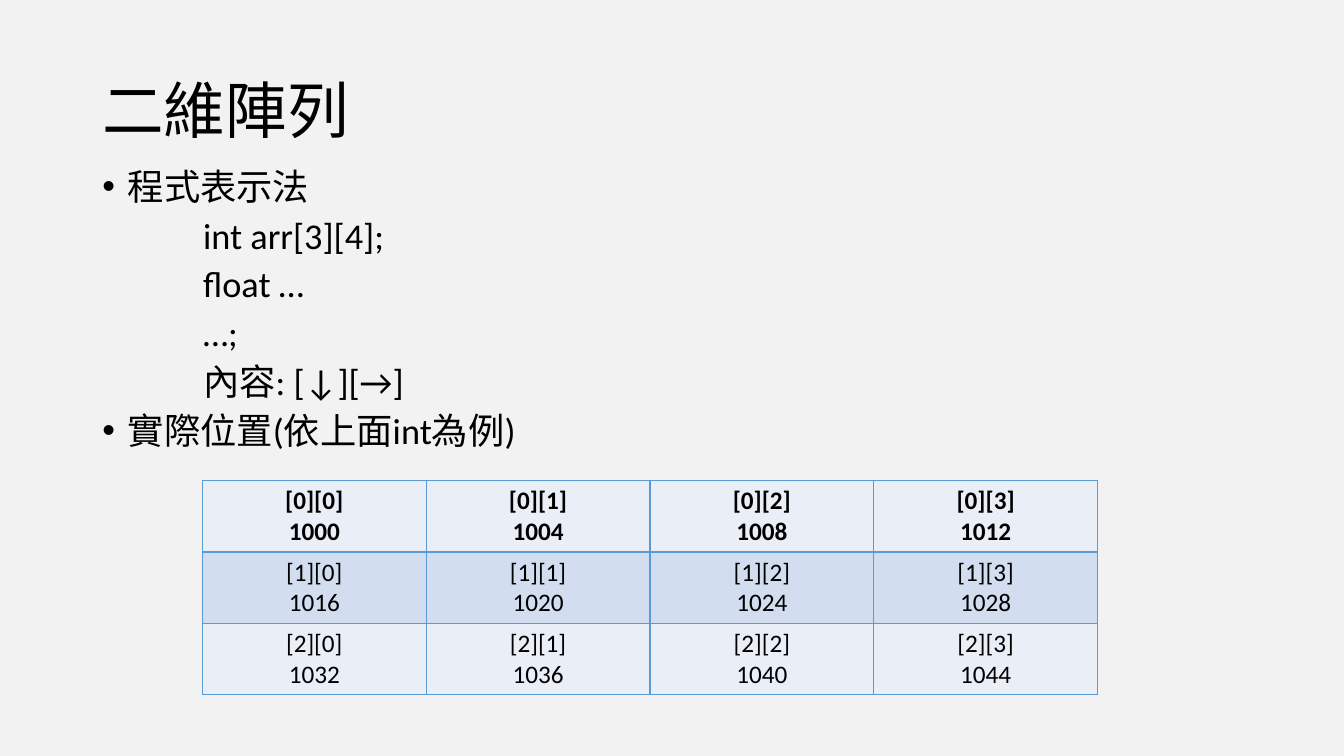
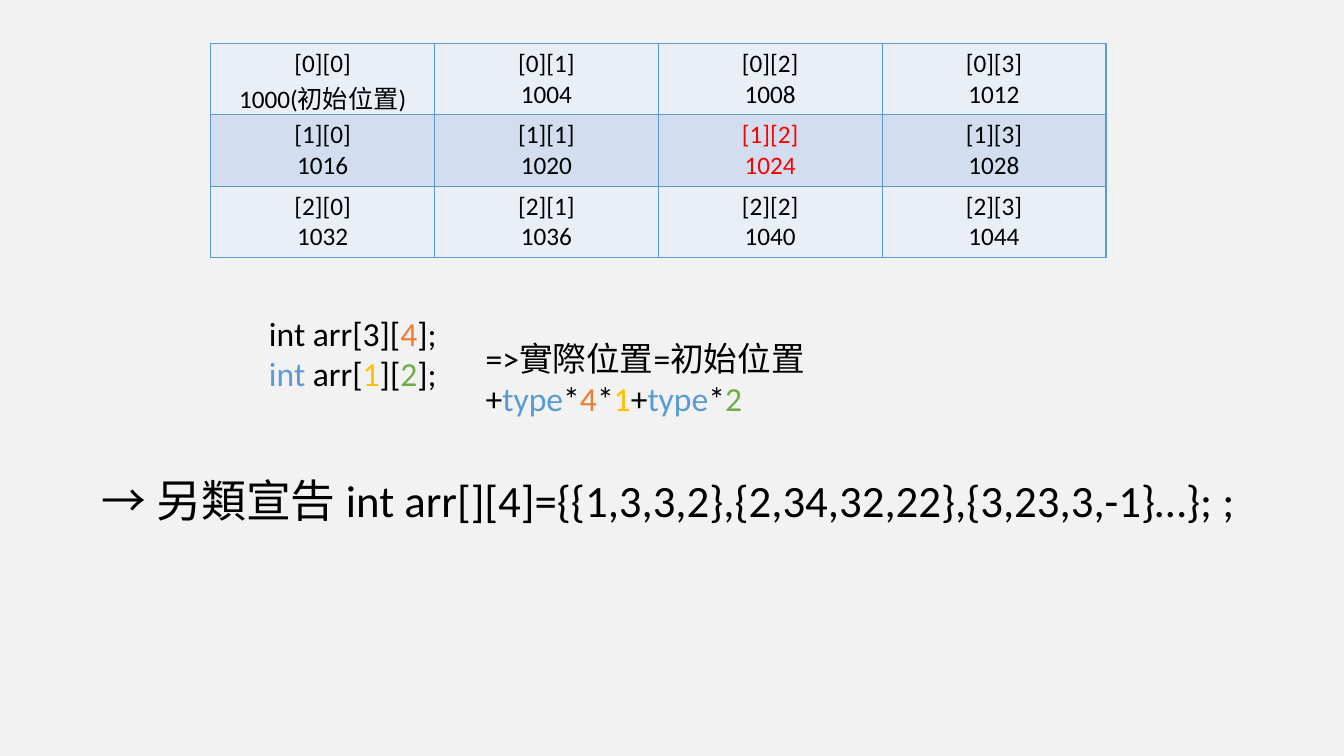
from lxml import etree
from pptx import Presentation
from pptx.dml.color import RGBColor
from pptx.enum.text import MSO_ANCHOR, PP_ALIGN
from pptx.oxml.ns import qn
from pptx.util import Cm, Pt

CENTER = PP_ALIGN.CENTER
TOP, MIDDLE = MSO_ANCHOR.TOP, MSO_ANCHOR.MIDDLE

FONT = "Calibri"
COLORS = {
    "background": "F2F2F2",
    "text": "000000",
    "border": "5B9BD5",
    "light row": "EAEFF7",
    "dark row": "D2DEEF",
    "highlight": "FF0000",
    "type": "5B9BD5",
    "width": "ED7D31",
    "row": "FFC000",
    "column": "70AD47",
}

# The array shown in both tables
ROWS, COLUMNS = 3, 4
START_ADDRESS, INT_SIZE = 1000, 4
CELL_WIDTH, CELL_HEIGHT = 5.64, 1.8


def rgb(name):
    return RGBColor.from_string(COLORS[name])


def add_slide(presentation):
    slide = presentation.slides.add_slide(presentation.slide_layouts[6])
    slide.background.fill.solid()
    slide.background.fill.fore_color.rgb = rgb("background")
    return slide


def add_run(paragraph, text, size, color="text", bold=False):
    run = paragraph.add_run()
    run.text = text
    font = run.font
    font.name, font.size, font.bold = FONT, Pt(size), bold
    font.color.rgb = rgb(color)


def add_text_frame(slide, left, top, width, height, anchor=TOP):
    box = slide.shapes.add_textbox(Cm(left), Cm(top), Cm(width), Cm(height))
    frame = box.text_frame
    frame.word_wrap = True
    frame.vertical_anchor = anchor
    return frame


def next_paragraph(frame, index):
    return frame.add_paragraph() if index else frame.paragraphs[0]


def add_title(slide, text):
    frame = add_text_frame(slide, 2.33, 1.01, 29.21, 3.68, MIDDLE)
    paragraph = frame.paragraphs[0]
    paragraph.line_spacing = 0.9
    add_run(paragraph, text, 44)


def set_indent(paragraph, left, first_line=0, bullet=None):
    properties = paragraph._p.get_or_add_pPr()
    properties.set("marL", str(Cm(left)))
    properties.set("indent", str(Cm(first_line)))
    if bullet:
        font = etree.SubElement(properties, qn("a:buFont"))
        font.set("typeface", "Arial")
        etree.SubElement(properties, qn("a:buChar")).set("char", bullet)


def add_body(slide, lines):
    """Each line is (is_bullet, text); other lines are indented code."""
    frame = add_text_frame(slide, 2.33, 4.22, 29.21, 7.37)
    for index, (is_bullet, text) in enumerate(lines):
        paragraph = next_paragraph(frame, index)
        paragraph.line_spacing = 0.8
        paragraph.space_before = Pt(10)
        if is_bullet:
            set_indent(paragraph, 0.64, -0.64, "•")
        else:
            set_indent(paragraph, 2.54)
        add_run(paragraph, text, 25.9)


def add_colored_text(slide, position, size, paragraphs):
    """Paragraphs hold lines, and lines hold (text, color) parts."""
    frame = add_text_frame(slide, *position)
    for index, lines in enumerate(paragraphs):
        paragraph = next_paragraph(frame, index)
        for line_index, line in enumerate(lines):
            if line_index:
                paragraph.add_line_break()
            for text, color in line:
                add_run(paragraph, text, size, color)


def set_cell_borders(cell):
    properties = cell._tc.get_or_add_tcPr()
    for side in ("a:lnL", "a:lnR", "a:lnT", "a:lnB"):
        line = etree.SubElement(properties, qn(side))
        line.set("w", str(Pt(1)))
        fill = etree.SubElement(line, qn("a:solidFill"))
        etree.SubElement(fill, qn("a:srgbClr")).set("val", COLORS["border"])


def add_address_table(slide, left, top, bold_first_row=False, start_note="", marked=None):
    table = slide.shapes.add_table(
        ROWS, COLUMNS, Cm(left), Cm(top),
        Cm(COLUMNS * CELL_WIDTH), Cm(ROWS * CELL_HEIGHT)).table
    table.first_row = bold_first_row
    for column in table.columns:
        column.width = Cm(CELL_WIDTH)
    for row in range(ROWS):
        table.rows[row].height = Cm(CELL_HEIGHT)
        for column in range(COLUMNS):
            cell = table.cell(row, column)
            set_cell_borders(cell)
            cell.fill.solid()
            cell.fill.fore_color.rgb = rgb("dark row" if row % 2 else "light row")
            offset = row * COLUMNS + column
            address = f"{START_ADDRESS + INT_SIZE * offset}"
            if offset == 0:
                address += start_note
            color = "highlight" if (row, column) == marked else "text"
            for index, text in enumerate((f"[{row}][{column}]", address)):
                paragraph = next_paragraph(cell.text_frame, index)
                paragraph.alignment = CENTER
                add_run(paragraph, text, 18, color, bold_first_row and row == 0)


def build_notation_slide(presentation):
    slide = add_slide(presentation)
    add_title(slide, "二維陣列")
    add_body(slide, [
        (True, "程式表示法"),
        (False, "int arr[3][4];"),
        (False, "float …"),
        (False, "…;"),
        (False, "內容: [↓][→]"),
        (True, "實際位置(依上面int為例)"),
    ])
    add_address_table(slide, 5.1, 12.11, bold_first_row=True)


def build_address_slide(presentation):
    slide = add_slide(presentation)
    add_address_table(slide, 5.31, 1.09, start_note="(初始位置)", marked=(1, 2))

    # Declaration and element access
    add_colored_text(slide, (6.53, 7.75, 6.6, 3.07), 24, [
        [[("int arr[3][", "text"), ("4", "width"), ("];", "text")]],
        [[("int ", "type"), ("arr[", "text"), ("1", "row"), ("][", "text"),
          ("2", "column"), ("];", "text")]],
    ])

    # Other way to declare
    add_colored_text(slide, (2.31, 11.79, 30, 1.63), 32, [
        [[("→ 另類宣告 int arr[][4]={{1,3,3,2},{2,34,32,22},{3,23,3,-1}…}; ;", "text")]],
    ])

    # Address formula
    add_colored_text(slide, (11.99, 8.38, 15.16, 1.27), 24, [[
        [("=>實際位置=初始位置", "text")],
        [("+", "text"), ("type", "type"), ("*", "text"), ("4", "width"),
         ("*", "text"), ("1", "row"), ("+", "text"), ("type", "type"),
         ("*", "text"), ("2", "column")],
    ]])


def main():
    presentation = Presentation()
    presentation.slide_width = Cm(33.87)
    presentation.slide_height = Cm(19.05)
    build_notation_slide(presentation)
    build_address_slide(presentation)
    presentation.save("out.pptx")


if __name__ == "__main__":
    main()
